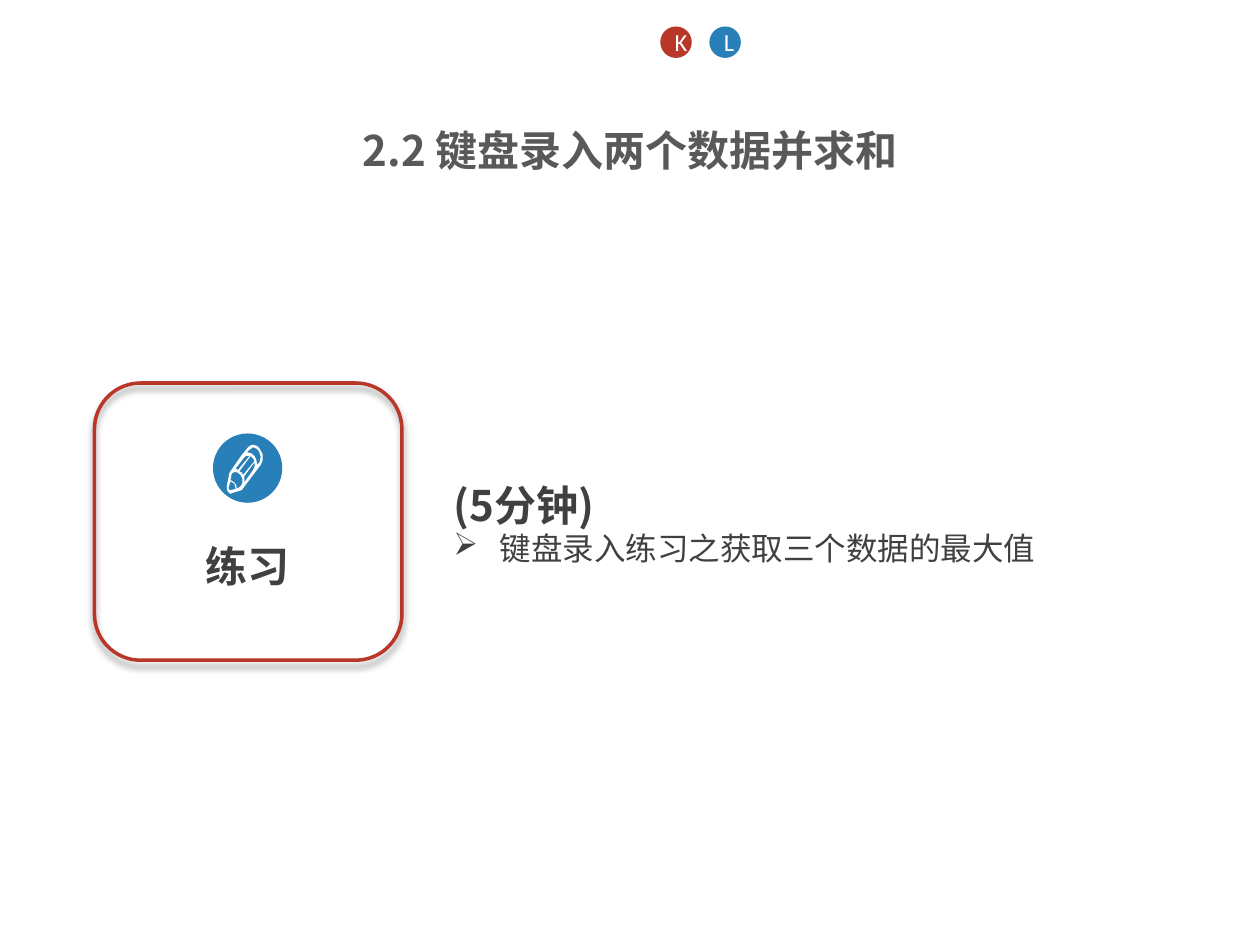
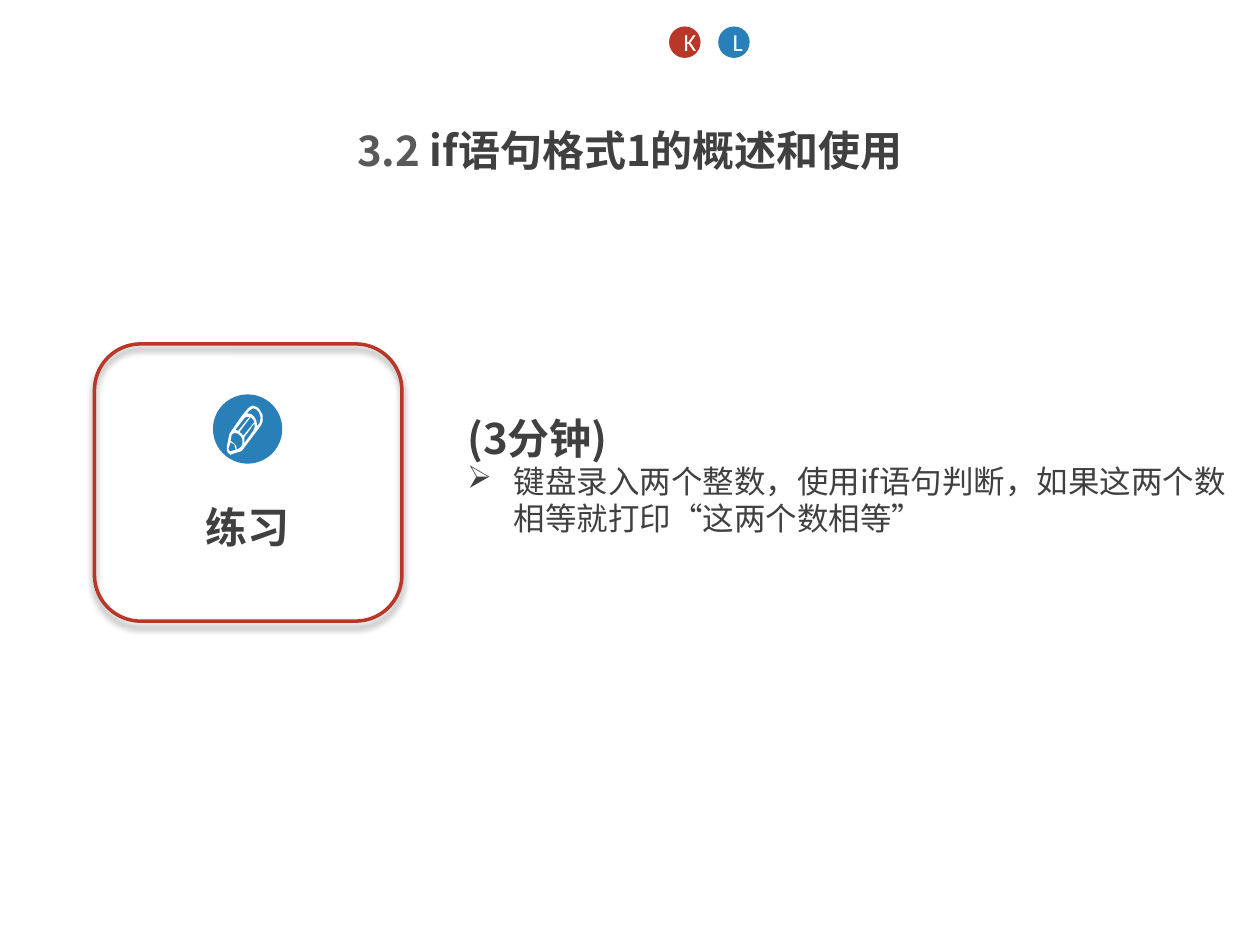
from pptx import Presentation
from pptx import util as u
from pptx.dml.color import RGBColor
from pptx.enum import shapes, text
from pptx.oxml import parse_xml
from pptx.oxml.ns import nsdecls, qn
from lxml import etree

RED = RGBColor(0xB8, 0x37, 0x29)
BLUE = RGBColor(0x29, 0x80, 0xB9)
WHITE = RGBColor(0xFF, 0xFF, 0xFF)
GREY = RGBColor(0x59, 0x59, 0x59)
DARK = RGBColor(0x40, 0x40, 0x40)
CJK = "Noto Sans CJK SC"
LATIN = "Calibri"

SHADOW = (
    f'<a:effectLst {nsdecls("a")}>'
    '<a:outerShdw blurRad="50800" dist="38100" dir="5400000" rotWithShape="0">'
    '<a:srgbClr val="000000"><a:alpha val="40000"/></a:srgbClr>'
    '</a:outerShdw></a:effectLst>'
)

PENCIL = [
    [(260, 30), (240, 10), (210, 0), (190, 5), (170, 20), (120, 80), (30, 210),
     (20, 230), (0, 330), (0, 350), (10, 375), (30, 390), (40, 385), (120, 360),
     (130, 345), (270, 160), (285, 125), (285, 75)],
    [(260, 140), (240, 160), (240, 150), (235, 120), (220, 90), (195, 68), (160, 60),
     (180, 40), (210, 20), (235, 30), (255, 50), (270, 95)],
    [(80, 350), (75, 320), (60, 300), (30, 280), (40, 230), (60, 217), (85, 220),
     (110, 240), (125, 270), (125, 305), (110, 330)],
    [(30, 362), (18, 355), (14, 343), (30, 290), (60, 310), (72, 350)],
    [(90, 200), (70, 190), (140, 100), (155, 88), (180, 90)],
    [(130, 240), (120, 222), (100, 210), (190, 90), (210, 110), (220, 130)],
    [(140, 290), (140, 250), (220, 140), (222, 170), (210, 200), (140, 298)],
]


class Deck:
    def __init__(self):
        self.prs = Presentation()
        self.prs.slide_width = u.Inches(10)
        self.prs.slide_height = u.Inches(7.5)
        self.s = None

    def new_slide(self):
        self.s = self.prs.slides.add_slide(self.prs.slide_layouts[5])

    def style(self, r, size, color, bold=False, font=CJK):
        r.font.size = u.Pt(size)
        r.font.bold = bold
        r.font.name = font
        r.font.color.rgb = color
        ea = etree.SubElement(r.font._element, qn("a:ea"))
        ea.set("typeface", font)

    def title(self, parts):
        sp = self.s.shapes.title
        sp.left, sp.top = u.Inches(0), u.Inches(0.92)
        sp.width, sp.height = u.Inches(10), u.Inches(0.47)
        tf = sp.text_frame
        tf.auto_size = text.MSO_AUTO_SIZE.NONE
        tf.vertical_anchor = text.MSO_ANCHOR.TOP
        p = tf.paragraphs[0]
        p.alignment = text.PP_ALIGN.CENTER
        p.line_spacing = u.Pt(30)
        for words, color in parts:
            r = p.add_run()
            r.text = words
            self.style(r, 24, color, bold=True)

    def shape(self, holder, kind, x, y, w, h, fill=None, line=None):
        sp = holder.shapes.add_shape(kind, u.Inches(x), u.Inches(y), u.Inches(w), u.Inches(h))
        sp.shadow.inherit = False
        if fill is None:
            sp.fill.background()
        else:
            sp.fill.solid()
            sp.fill.fore_color.rgb = fill
        if line is None:
            sp.line.fill.background()
        else:
            sp.line.color.rgb = line
            sp.line.width = u.Pt(2)
        return sp

    def text_box(self, holder, x, y, w, h):
        tf = holder.shapes.add_textbox(u.Inches(x), u.Inches(y), u.Inches(w), u.Inches(h)).text_frame
        tf.word_wrap = True
        return tf

    def line(self, p, words, size, spacing, bold):
        p.text = words
        p.line_spacing = u.Pt(spacing)
        self.style(p.runs[0], size, DARK, bold)

    def badges(self, x):
        for i, (letter, color) in enumerate([("K", RED), ("L", BLUE)]):
            sp = self.shape(self.s, shapes.MSO_SHAPE.OVAL, x + 0.39 * i, 0.21, 0.25, 0.25, color)
            tf = sp.text_frame
            tf.text = letter
            tf.vertical_anchor = text.MSO_ANCHOR.MIDDLE
            p = tf.paragraphs[0]
            p.alignment = text.PP_ALIGN.CENTER
            self.style(p.runs[0], 14, WHITE, font=LATIN)

    def pencil(self, holder, x, y):
        first, *rest = PENCIL
        fb = holder.shapes.build_freeform(*first[0], scale=u.Inches(0.001))
        fb.add_line_segments(first[1:])
        for start, *others in rest:
            fb.move_to(*start)
            fb.add_line_segments(others)
        sp = fb.convert_to_shape(u.Inches(x), u.Inches(y))
        sp.shadow.inherit = False
        sp.fill.solid()
        sp.fill.fore_color.rgb = WHITE
        sp.line.fill.background()

    def card(self, y):
        grp = self.s.shapes.add_group_shape()
        tf = self.text_box(grp, 1.53, y + 1.21, 0.87, 0.45)
        self.line(tf.paragraphs[0], "练习", 24, 28, True)
        self.shape(grp, shapes.MSO_SHAPE.OVAL, 1.69, y + 0.4, 0.55, 0.55, BLUE)
        self.pencil(grp, 1.8, y + 0.49)
        frame = self.shape(grp, shapes.MSO_SHAPE.ROUNDED_RECTANGLE, 0.75, y, 2.44, 2.2, line=RED)
        props = frame._element.spPr
        props.replace(props.find(qn("a:effectLst")), parse_xml(SHADOW))

    def task(self, x, y, w, h, minutes, words):
        tf = self.text_box(self.s, x, y, w, h)
        self.line(tf.paragraphs[0], f"({minutes}分钟)", 24, 30, True)
        p = tf.add_paragraph()
        self.line(p, words, 18, 21, False)
        props = p._p.get_or_add_pPr()
        props.set("marL", str(u.Inches(0.37)))
        props.set("indent", str(-u.Inches(0.37)))
        etree.SubElement(props, qn("a:buChar")).set("char", "➢")


def main():
    d = Deck()

    d.new_slide()
    d.badges(5.24)
    d.task(3.5, 3.74, 6.3, 0.81, 5, "键盘录入练习之获取三个数据的最大值")
    d.card(3.04)
    d.title([("2.2 键盘录入两个数据并求和", GREY)])

    d.new_slide()
    d.task(3.61, 3.21, 6.37, 1.11, 3,
           "键盘录入两个整数，使用if语句判断，如果这两个数相等就打印“这两个数相等”")
    d.card(2.73)
    d.badges(5.31)
    d.title([("3.2 ", GREY), ("if语句格式1的概述和使用", DARK)])

    d.prs.save("out.pptx")


if __name__ == "__main__":
    main()
